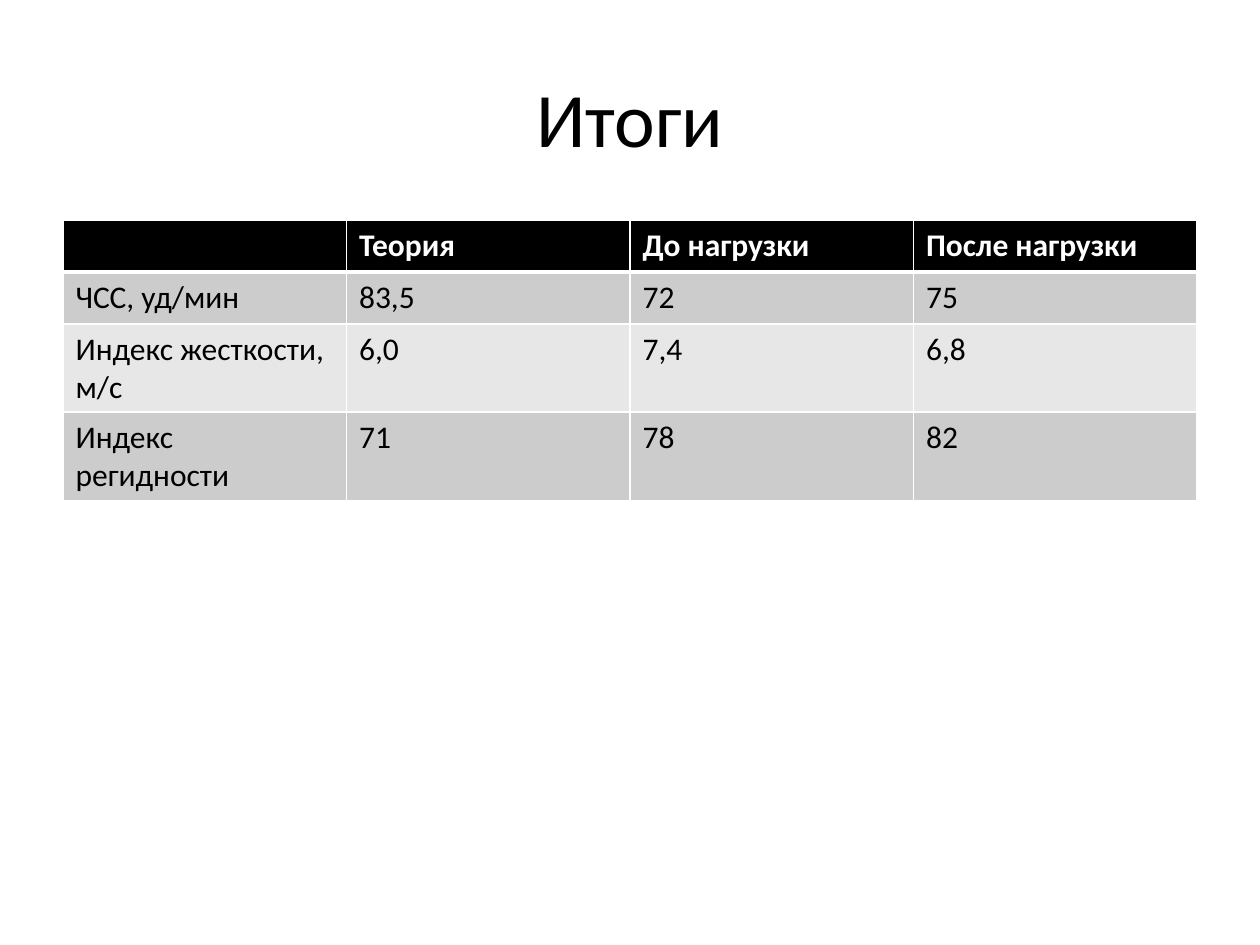
from dataclasses import dataclass

from lxml import etree
from pptx import Presentation
from pptx.dml.color import RGBColor
from pptx.enum.text import MSO_ANCHOR, PP_ALIGN
from pptx.oxml.ns import qn
from pptx.util import Inches, Pt

MIDDLE = MSO_ANCHOR.MIDDLE
CENTER = PP_ALIGN.CENTER
WIDE, HIGH = Inches(10), Inches(7.5)
BLACK, WHITE = "000000", "FFFFFF"
THIN, THICK = 0.96, 3
ROW_HIGH = Inches(0.41)


@dataclass
class Box:
    """Place a block by shares of the slide's size."""
    left: float
    top: float
    width: float
    height: float

    def place(self) -> tuple[int, int, int, int]:
        return (int(self.left * WIDE), int(self.top * HIGH),
                int(self.width * WIDE), int(self.height * HIGH))


@dataclass
class Look:
    """Hold the style of one table row."""
    fill: str
    ink: str
    bold: bool
    above: float
    below: float


TITLE_BOX = Box(0.05, 0.04, 0.9, 1 / 6)
TABLE_BOX = Box(0.05, 7 / 30, 0.9, 0.22)
ROWS = [
    ("", "Теория", "До нагрузки", "После нагрузки"),
    ("ЧСС, уд/мин", "83,5", "72", "75"),
    ("Индекс жесткости, м/c", "6,0", "7,4", "6,8"),
    ("Индекс регидности", "71", "78", "82"),
]
LOOKS = [
    Look(BLACK, WHITE, True, THIN, THICK),
    Look("CCCCCC", BLACK, False, THICK, THIN),
    Look("E7E7E7", BLACK, False, THIN, THIN),
    Look("CCCCCC", BLACK, False, THIN, THIN),
]


def color(code: str) -> RGBColor:
    """Turn a hex string into a colour."""
    return RGBColor.from_string(code)


def set_font(para, size: float, ink: str, bold: bool = False) -> None:
    """Style a whole paragraph."""
    font = para.font
    font.name, font.size, font.bold = "Calibri", Pt(size), bold
    font.color.rgb = color(ink)


def add_edge(cell, tag: str, width: float) -> None:
    """Draw one white border of a cell."""
    line = etree.SubElement(cell._tc.get_or_add_tcPr(), qn(tag), w=str(int(Pt(width))))
    fill = etree.SubElement(line, qn("a:solidFill"))
    etree.SubElement(fill, qn("a:srgbClr"), val=WHITE)


def draw_cell(cell, text: str, look: Look) -> None:
    """Fill one table cell with its text and style."""
    edges = {"a:lnL": THIN, "a:lnR": THIN, "a:lnT": look.above, "a:lnB": look.below}
    for tag, width in edges.items():
        add_edge(cell, tag, width)
    cell.fill.solid()
    cell.fill.fore_color.rgb = color(look.fill)
    cell.text = text
    set_font(cell.text_frame.paragraphs[0], 18, look.ink, look.bold)


def draw_title(slide, text: str, box: Box) -> None:
    """Add the centred slide title."""
    frame = slide.shapes.add_textbox(*box.place()).text_frame
    frame.word_wrap = True
    frame.vertical_anchor = MIDDLE
    para = frame.paragraphs[0]
    para.text, para.alignment = text, CENTER
    set_font(para, 44, BLACK)


def draw_table(slide, box: Box) -> None:
    """Add the table of results."""
    shape = slide.shapes.add_table(len(ROWS), len(ROWS[0]), *box.place())
    table = shape.table
    for row, texts, look in zip(table.rows, ROWS, LOOKS):
        row.height = ROW_HIGH
        for cell, text in zip(row.cells, texts):
            draw_cell(cell, text, look)


def main() -> None:
    """Build and save the slide."""
    deck = Presentation()
    deck.slide_width, deck.slide_height = WIDE, HIGH
    slide = deck.slides.add_slide(deck.slide_layouts[6])
    draw_title(slide, "Итоги", TITLE_BOX)
    draw_table(slide, TABLE_BOX)
    deck.save("out.pptx")


if __name__ == "__main__":
    main()
